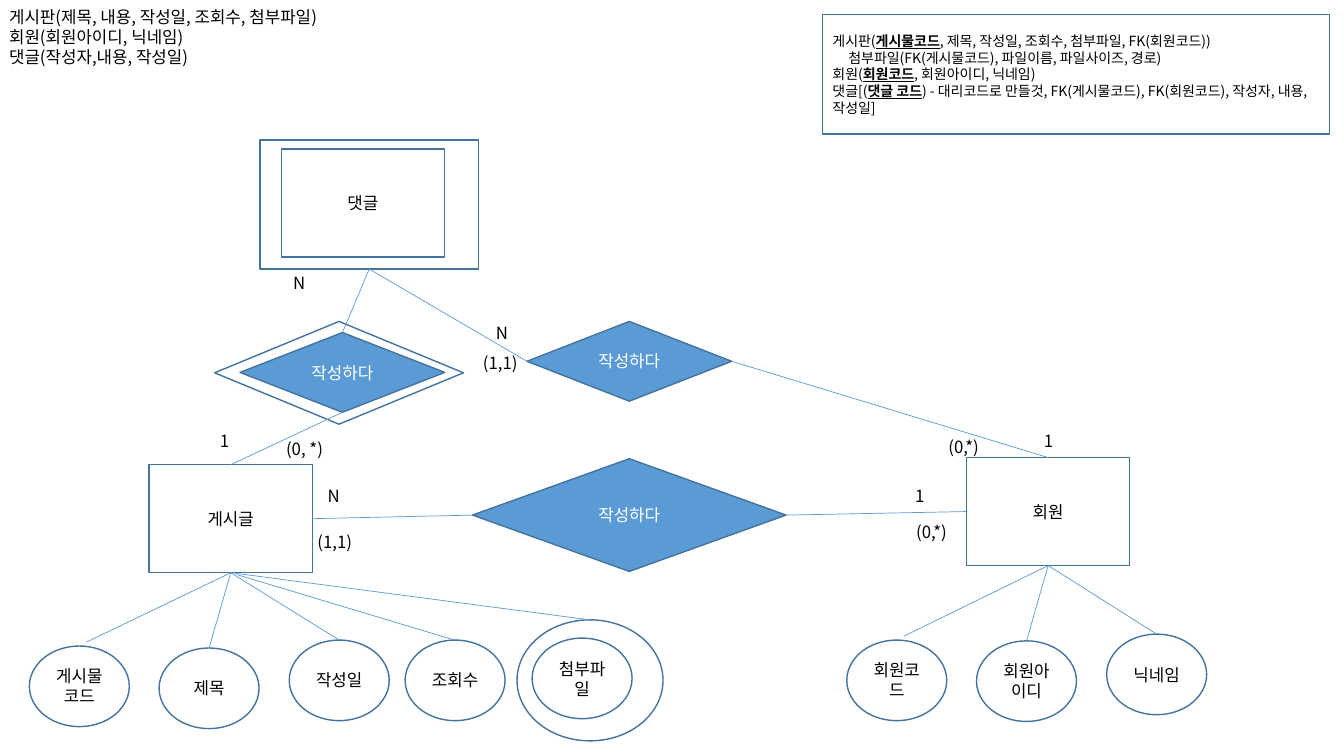
from lxml import etree
from pptx import Presentation
from pptx.dml.color import RGBColor
from pptx.enum.shapes import MSO_CONNECTOR, MSO_SHAPE
from pptx.enum.text import MSO_ANCHOR, PP_ALIGN
from pptx.oxml.ns import qn
from pptx.util import Cm, Pt

RECT, OVAL, DIAMOND = MSO_SHAPE.RECTANGLE, MSO_SHAPE.OVAL, MSO_SHAPE.DIAMOND
STRAIGHT = MSO_CONNECTOR.STRAIGHT
LEFT, CENTER, JUSTIFY = PP_ALIGN.LEFT, PP_ALIGN.CENTER, PP_ALIGN.JUSTIFY
MIDDLE = MSO_ANCHOR.MIDDLE
TOP_SITE, LEFT_SITE, BOTTOM_SITE, RIGHT_SITE = range(4)

FONT = "Noto Sans CJK KR"
LEADING = 1.19
COLORS = {"text": "000000", "light": "FFFFFF", "fill": "5B9BD5",
          "border": "43739E", "link": "5B9BD5"}
ENTITY = (4.11, 2.72)
ATTRIBUTE = (2.52, 2.03)
RELATION = (5.16, 2.01)

SUMMARY = """게시판(제목, 내용, 작성일, 조회수, 첨부파일)
회원(회원아이디, 닉네임)
댓글(작성자,내용, 작성일)"""

SCHEMA = [
    ("게시판(", "게시물코드", ", 제목, 작성일, 조회수, 첨부파일, FK(회원코드))"),
    ("첨부파일(FK(게시물코드), 파일이름, 파일사이즈, 경로)",),
    ("회원(", "회원코드", ", 회원아이디, 닉네임)"),
    ("댓글[(", "댓글 코드", ") - 대리코드로 만들것, FK(게시물코드), "
     "FK(회원코드), 작성자, 내용, 작성일]"),
]

POST_ATTRIBUTES = [("게시물 코드", 0.74, 16.28), ("제목", 4.01, 16.33),
                   ("작성일", 7.29, 16.13), ("조회수", 10.21, 16.13),
                   ("첨부파일", 13.41, 16.08)]
MEMBER_ATTRIBUTES = [("회원코드", 21.34, 16.13), ("회원아이디", 24.61, 16.15),
                     ("닉네임", 27.89, 15.98)]

CARDINALITIES = [("N", 8.26, 12.24), ("(1,1)", 8.0, 13.41),
                 ("1", 23.06, 12.24), ("(0,*)", 23.09, 13.16),
                 ("N", 7.39, 6.88), ("(0, *)", 7.21, 11.05),
                 ("1", 5.54, 10.87), ("1", 26.31, 10.87),
                 ("N", 12.5, 8.13), ("(1,1)", 12.17, 8.89),
                 ("(0,*)", 23.9, 11.02)]


def rgb(name):
    """Return the named colour."""
    return RGBColor.from_string(COLORS[name])


def style_text(tf, size, color, align):
    """Format every paragraph and run of a text frame."""
    for p in tf.paragraphs:
        p.alignment = align
        p.line_spacing = Pt(round(size * LEADING, 1))
        for r in p.runs:
            r.font.size = Pt(size)
            r.font.name = FONT
            r.font.color.rgb = rgb(color)
            ea = etree.SubElement(r._r.get_or_add_rPr(), qn("a:ea"))
            ea.set("typeface", FONT)


def add_node(slide, kind, x, y, size, text="", filled=False):
    """Add an outlined shape with centred text."""
    sp = slide.shapes.add_shape(kind, Cm(x), Cm(y), Cm(size[0]), Cm(size[1]))
    sp.shadow.inherit = False
    sp.line.color.rgb = rgb("border")
    sp.line.width = Pt(1)
    if filled:
        sp.fill.solid()
        sp.fill.fore_color.rgb = rgb("fill")
    else:
        sp.fill.background()
    if text:
        tf = sp.text_frame
        tf.text = text
        tf.word_wrap = True
        tf.vertical_anchor = MIDDLE
        style_text(tf, 12, "light" if filled else "text", CENTER)
    return sp


def add_label(slide, text, x, y, w=1.4, h=0.51):
    """Add a text box without margins."""
    tf = slide.shapes.add_textbox(Cm(x), Cm(y), Cm(w), Cm(h)).text_frame
    tf.margin_left = tf.margin_right = tf.margin_top = tf.margin_bottom = 0
    tf.word_wrap = True
    tf.text = text
    style_text(tf, 12, "text", JUSTIFY)


def add_line(slide, x1=0, y1=0, x2=0, y2=0):
    """Add a thin straight line."""
    line = slide.shapes.add_connector(STRAIGHT, Cm(x1), Cm(y1), Cm(x2), Cm(y2))
    line.line.color.rgb = rgb("link")
    line.line.width = Pt(0.5)
    etree.SubElement(line._element.spPr, qn("a:effectLst"))
    return line


def join(slide, start, start_site, end, end_site):
    """Connect two shapes at the given sites."""
    line = add_line(slide)
    line.begin_connect(start, start_site)
    line.end_connect(end, end_site)


def add_attributes(slide, attributes):
    """Add attribute ovals and return them by name."""
    return {text: add_node(slide, OVAL, x, y, ATTRIBUTE, text)
            for text, x, y in attributes}


def add_schema(slide):
    """Add the box that lists the tables with their keys."""
    sp = add_node(slide, RECT, 20.73, 0.36, (12.78, 3.02))
    tf = sp.text_frame
    tf.word_wrap = True
    tf.vertical_anchor = MIDDLE
    for i, parts in enumerate(SCHEMA):
        p = tf.add_paragraph() if i else tf.paragraphs[0]
        if len(parts) == 1:
            p._p.get_or_add_pPr().set("marL", str(Cm(0.4)))
        for j, part in enumerate(parts):
            r = p.add_run()
            r.text = part
            if j == 1:
                r.font.bold = r.font.underline = True
    style_text(tf, 10, "text", LEFT)


def main():
    """Build the entity relationship slide."""
    prs = Presentation()
    prs.slide_width, prs.slide_height = Cm(33.87), Cm(19.05)
    slide = prs.slides.add_slide(prs.slide_layouts[6])

    add_label(slide, SUMMARY, 0.23, 0.18, 8.33, 1.55)

    post = add_node(slide, RECT, 3.76, 11.71, ENTITY, "게시글")
    member = add_node(slide, RECT, 24.36, 11.53, ENTITY, "회원")
    add_node(slide, RECT, 7.09, 3.76, ENTITY, "댓글")
    comment = add_node(slide, RECT, 6.55, 3.53, (5.51, 3.25))

    post_ovals = add_attributes(slide, POST_ATTRIBUTES)
    member_ovals = add_attributes(slide, MEMBER_ATTRIBUTES)
    files = add_node(slide, OVAL, 13.03, 15.62, (3.68, 3.05))
    for oval in (post_ovals["제목"], post_ovals["작성일"], files):
        join(slide, post, BOTTOM_SITE, oval, TOP_SITE)
    for name in ("회원아이디", "닉네임"):
        join(slide, member, BOTTOM_SITE, member_ovals[name], TOP_SITE)
    add_line(slide, 2.18, 16.18, 5.82, 14.43)
    add_line(slide, 5.97, 14.48, 11.46, 16.13)
    add_line(slide, 22.78, 16.03, 26.42, 14.25)

    writes_post = add_node(slide, DIAMOND, 11.91, 11.56, (7.9, 2.84), "작성하다", True)
    has_comment = add_node(slide, DIAMOND, 6.05, 8.38, RELATION, "작성하다", True)
    add_node(slide, DIAMOND, 5.41, 8.1, (6.27, 2.59))
    writes_comment = add_node(slide, DIAMOND, 13.28, 8.1, RELATION, "작성하다", True)

    join(slide, post, RIGHT_SITE, writes_post, LEFT_SITE)
    join(slide, writes_post, RIGHT_SITE, member, LEFT_SITE)
    join(slide, comment, BOTTOM_SITE, has_comment, TOP_SITE)
    join(slide, has_comment, BOTTOM_SITE, post, TOP_SITE)
    join(slide, comment, BOTTOM_SITE, writes_comment, LEFT_SITE)
    join(slide, writes_comment, RIGHT_SITE, member, TOP_SITE)

    for text, x, y in CARDINALITIES:
        add_label(slide, text, x, y)
    add_schema(slide)
    prs.save("out.pptx")


if __name__ == "__main__":
    main()
